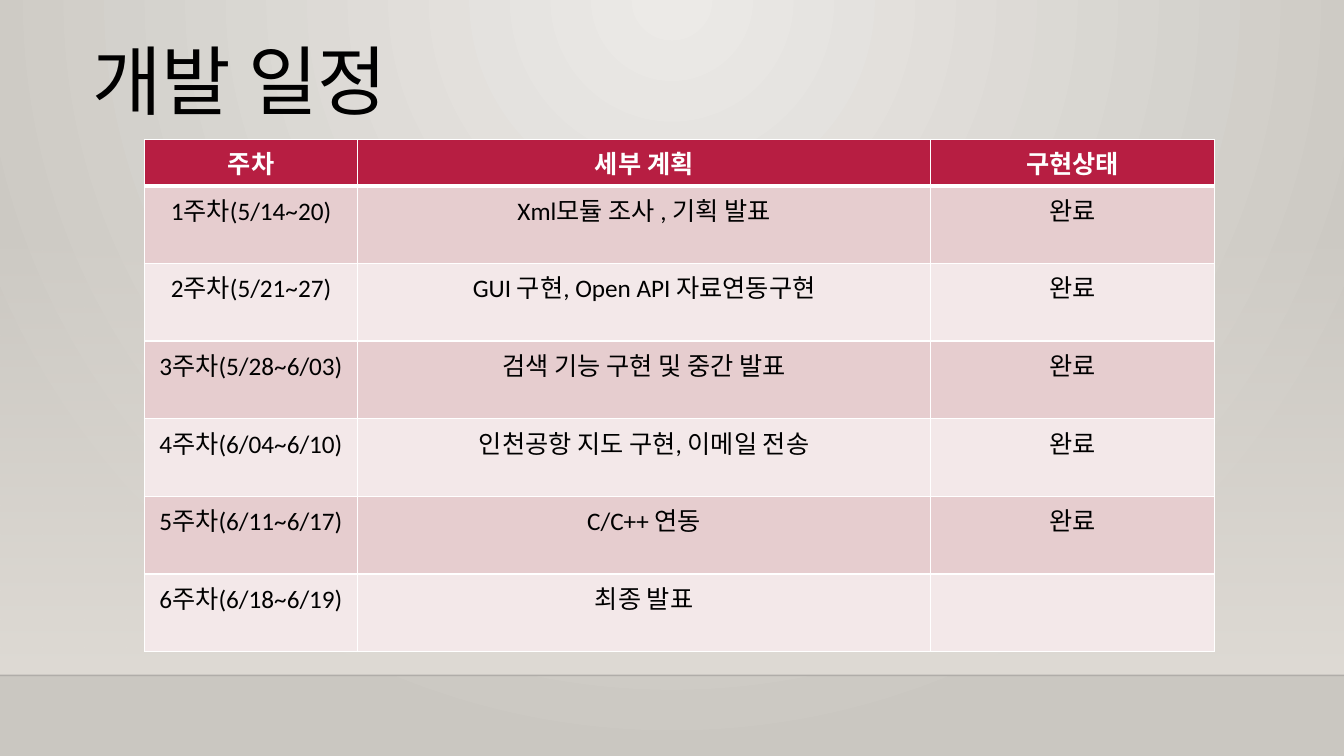
from lxml.etree import SubElement
from pptx import Presentation
from pptx.dml.color import RGBColor
from pptx.enum.shapes import MSO_CONNECTOR as Connector, MSO_SHAPE as Shape
from pptx.enum.text import MSO_ANCHOR as Anchor, PP_ALIGN as Align
from pptx.oxml.ns import qn
from pptx.util import Pt

COLORS = {
    "glow": "ECEAE7", "edge": "CAC7C1", "wall": "DFDBD5", "floor": "000001",
    "text": "000000", "white": "FFFFFF",
    "header": "B71E42", "odd": "E6CDCF", "even": "F3E8E9",
}
WIDTH, HEIGHT = 960, 540
FLOOR_TOP = 482.4
COLUMN_WIDTHS = [152.6, 409, 203]
HEADER_HEIGHT, ROW_HEIGHT = 32.4, 55.5
SCHEDULE = [
    ("주차", "세부 계획", "구현상태"),
    ("1주차(5/14~20)", "Xml모듈 조사 , 기획 발표", "완료"),
    ("2주차(5/21~27)", "GUI 구현, Open API 자료연동구현", "완료"),
    ("3주차(5/28~6/03)", "검색 기능 구현 및 중간 발표", "완료"),
    ("4주차(6/04~6/10)", "인천공항 지도 구현, 이메일 전송", "완료"),
    ("5주차(6/11~6/17)", "C/C++ 연동", "완료"),
    ("6주차(6/18~6/19)", "최종 발표", ""),
]


def rgb(name):
    return RGBColor.from_string(COLORS[name])


def set_alpha(parent, percent):
    color = next(parent.iter(qn("a:srgbClr")))
    SubElement(color, qn("a:alpha"), val=str(percent * 1000))


class SlideBuilder:
    font_name = "Calibri"

    def __init__(self, slide):
        self.slide = slide

    def set_gradient(self, fill, start, end):
        fill.gradient()
        for stop, name, position in zip(fill.gradient_stops, (start, end), (0, 1)):
            stop.color.rgb = rgb(name)
            stop.position = position

    def background(self):
        self.set_gradient(self.slide.background.fill, "glow", "edge")
        gradient = next(self.slide.element.iter(qn("a:gradFill")))
        gradient.remove(gradient.find(qn("a:lin")))
        circle = SubElement(gradient, qn("a:path"), path="circle")
        SubElement(circle, qn("a:fillToRect"), l="43000", t="0", r="43000", b="100000")

    def wall(self, top, height):
        shape = self.slide.shapes.add_shape(
            Shape.RECTANGLE, 0, Pt(top), Pt(WIDTH), Pt(height))
        shape.shadow.inherit = False
        shape.line.fill.background()
        self.set_gradient(shape.fill, "wall", "wall")
        shape.fill.gradient_angle = 270
        set_alpha(shape.element.spPr, 0)

    def floor_line(self, top):
        line = self.slide.shapes.add_connector(
            Connector.STRAIGHT, 0, Pt(top), Pt(WIDTH), Pt(top))
        line.line.width = Pt(1)
        line.line.color.rgb = rgb("floor")
        set_alpha(line.element.spPr, 20)
        SubElement(line.element.spPr, qn("a:effectLst"))

    def style_paragraph(self, paragraph, size, color, bold=False):
        paragraph.alignment = Align.CENTER
        font = paragraph.font
        font.name, font.size, font.bold = self.font_name, Pt(size), bold
        font.color.rgb = rgb(color)

    def title(self, text, left, top, width, height):
        title = self.slide.shapes.title
        title.left, title.top = Pt(left), Pt(top)
        title.width, title.height = Pt(width), Pt(height)
        title.text_frame.text = text
        title.text_frame.vertical_anchor = Anchor.TOP
        paragraph = title.text_frame.paragraphs[0]
        paragraph.line_spacing = 0.9
        self.style_paragraph(paragraph, 54, "text")
        # Bring the title in front of the backdrop
        self.slide.shapes.element.append(title.element)

    def cell_borders(self, cell, bottom_width):
        properties = cell._tc.get_or_add_tcPr()
        for side, width in (("L", 1), ("R", 1), ("T", 1), ("B", bottom_width)):
            border = SubElement(properties, qn(f"a:ln{side}"), w=str(Pt(width)))
            fill = SubElement(border, qn("a:solidFill"))
            SubElement(fill, qn("a:srgbClr"), val=COLORS["white"])

    def table(self, rows, left, top):
        height = HEADER_HEIGHT + ROW_HEIGHT * (len(rows) - 1)
        table = self.slide.shapes.add_table(
            len(rows), len(COLUMN_WIDTHS), Pt(left), Pt(top),
            Pt(sum(COLUMN_WIDTHS)), Pt(height)).table
        for column, width in zip(table.columns, COLUMN_WIDTHS):
            column.width = Pt(width)
        for row_index, texts in enumerate(rows):
            header = row_index == 0
            table.rows[row_index].height = Pt(HEADER_HEIGHT if header else ROW_HEIGHT)
            fill = "header" if header else ("even", "odd")[row_index % 2]
            for column_index, text in enumerate(texts):
                cell = table.cell(row_index, column_index)
                cell.text = text
                self.style_paragraph(cell.text_frame.paragraphs[0], 18,
                                     "white" if header else "text", header)
                # Borders come before the fill in the cell properties
                self.cell_borders(cell, 3 if header else 1)
                cell.fill.solid()
                cell.fill.fore_color.rgb = rgb(fill)
            if row_index == 1:
                # The heavy header rule is shared with the first body row
                for cell in table.rows[1].cells:
                    cell._tc.tcPr.find(qn("a:lnT")).set("w", str(Pt(3)))


def main():
    presentation = Presentation()
    presentation.slide_width, presentation.slide_height = Pt(WIDTH), Pt(HEIGHT)
    slide = presentation.slides.add_slide(presentation.slide_layouts[5])
    builder = SlideBuilder(slide)

    # Backdrop
    builder.background()
    builder.wall(159, FLOOR_TOP - 159)
    builder.floor_line(FLOOR_TOP)

    # Title and schedule
    builder.title("개발 일정", -206.6, 28, 756, 83)
    builder.table(SCHEDULE, 103, 99.4)

    presentation.save("out.pptx")


if __name__ == "__main__":
    main()
